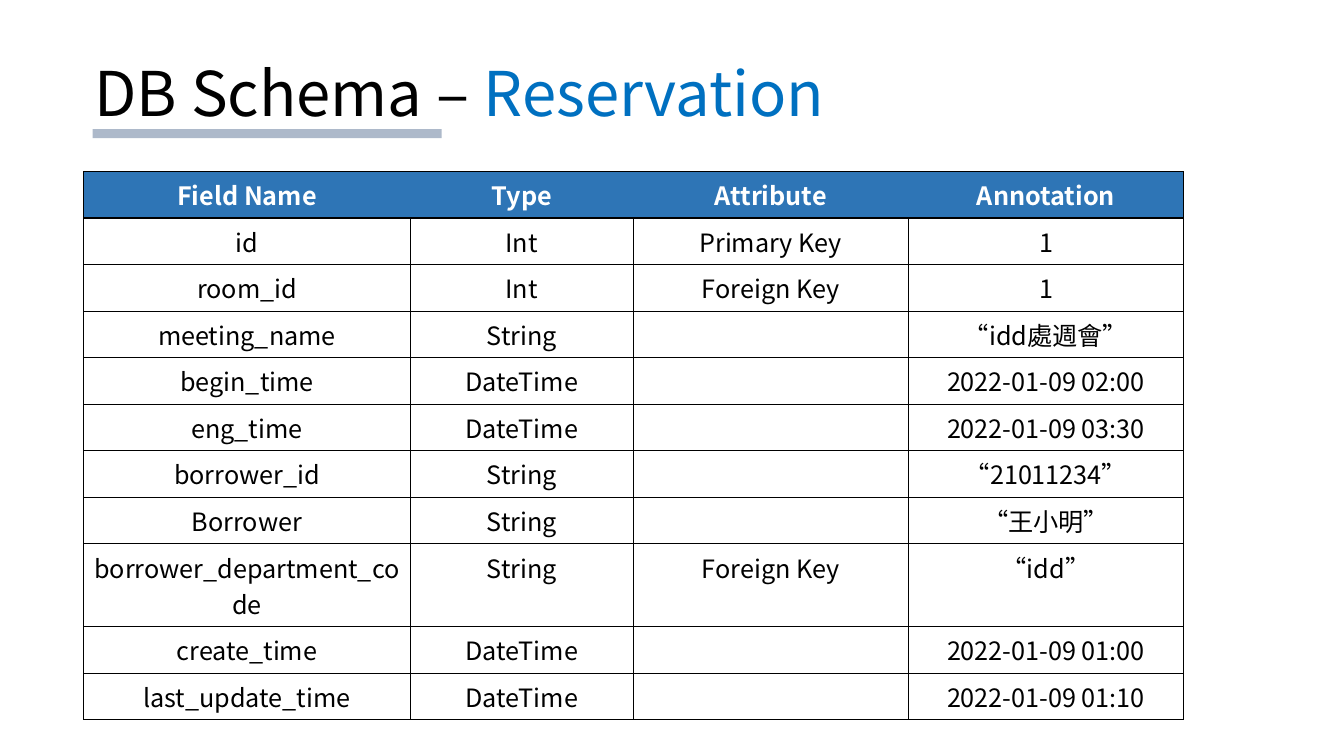
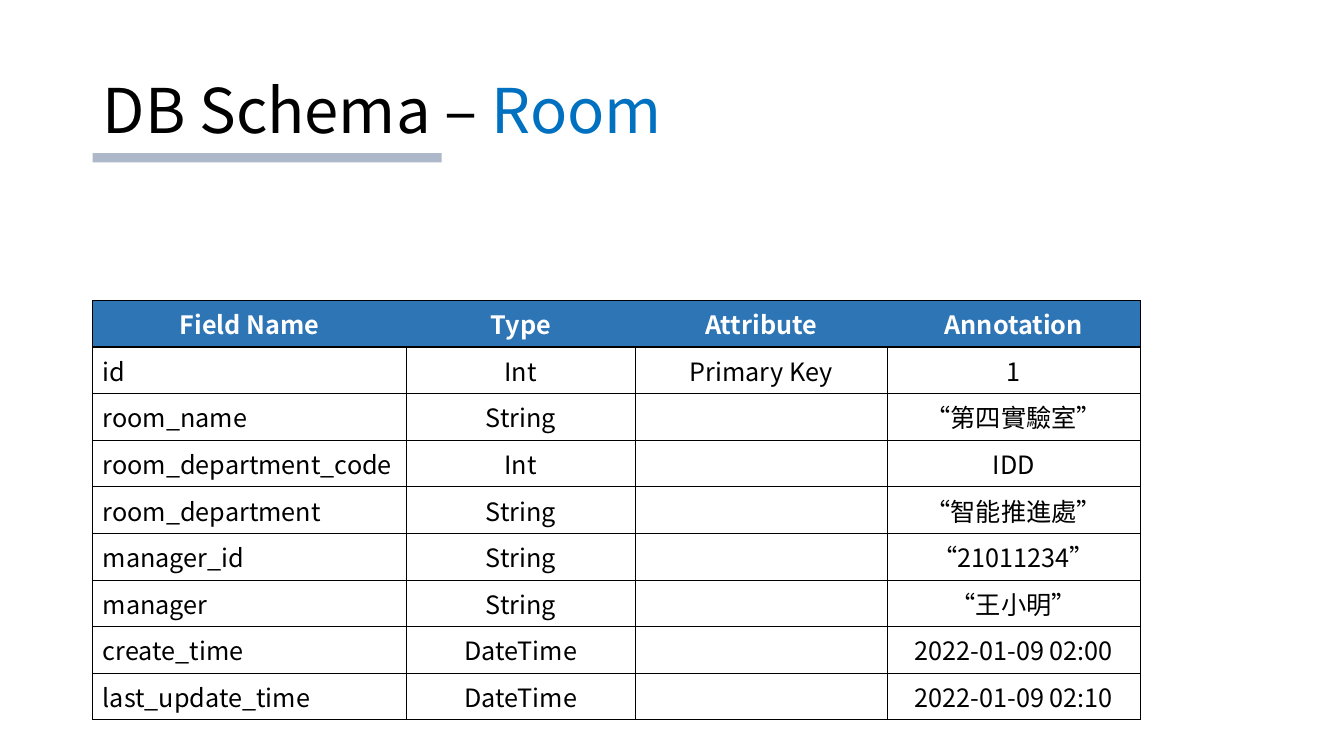
from dataclasses import dataclass

from lxml import etree
from pptx import Presentation
from pptx.dml.color import RGBColor
from pptx.enum.shapes import MSO_SHAPE
from pptx.enum.text import MSO_ANCHOR, PP_ALIGN
from pptx.oxml.ns import qn
from pptx.util import Inches, Pt

RECT = MSO_SHAPE.RECTANGLE
MIDDLE = MSO_ANCHOR.MIDDLE
LEFT, CENTER = PP_ALIGN.LEFT, PP_ALIGN.CENTER


@dataclass(frozen=True)
class Theme:
    font: str = "Noto Sans CJK SC"
    black: str = "000000"
    white: str = "FFFFFF"
    accent: str = "0070C0"
    header: str = "2E75B6"
    bar: str = "ADB9CA"
    title_size: int = 44
    table_size: int = 18
    thin: float = 0.5
    thick: float = 1


@dataclass(frozen=True)
class SchemaSlide:
    name: str
    title_box: tuple[float, float, float, float]
    bar_top: float
    table_left: float
    table_top: float
    widths: tuple[float, ...]
    field_align: PP_ALIGN
    rows: tuple[tuple[str, str, str, str], ...]


THEME = Theme()
HEADER = ("Field Name", "Type", "Attribute", "Annotation")
TABLE_BOTTOM = 7.14
TWO_LINE_FIELD, TWO_LINE_HEIGHT = "borrower_department_code", 0.82
BAR_LEFT, BAR_WIDTH, BAR_HEIGHT = 0.92, 3.46, 0.09

SLIDES = (
    SchemaSlide(
        "Reservation", (0.84, 0.4, 11.5, 1.12), 1.28, 0.83, 1.7,
        (3.24, 2.21, 2.73, 2.73), CENTER,
        (
            ("id", "Int", "Primary Key", "1"),
            ("room_id", "Int", "Foreign Key", "1"),
            ("meeting_name", "String", "", "“idd處週會”"),
            ("begin_time", "DateTime", "", "2022-01-09 02:00"),
            ("eng_time", "DateTime", "", "2022-01-09 03:30"),
            ("borrower_id", "String", "", "“21011234”"),
            ("Borrower", "String", "", "“王小明”"),
            (TWO_LINE_FIELD, "String", "Foreign Key", "“idd”"),
            ("create_time", "DateTime", "", "2022-01-09 01:00"),
            ("last_update_time", "DateTime", "", "2022-01-09 01:10"),
        ),
    ),
    SchemaSlide(
        "Room", (0.92, 0.4, 11.5, 1.45), 1.52, 0.92, 2.98,
        (3.11, 2.27, 2.5, 2.51), LEFT,
        (
            ("id", "Int", "Primary Key", "1"),
            ("room_name", "String", "", "“第四實驗室”"),
            ("room_department_code", "Int", "", "IDD"),
            ("room_department", "String", "", "“智能推進處”"),
            ("manager_id", "String", "", "“21011234”"),
            ("manager", "String", "", "“王小明”"),
            ("create_time", "DateTime", "", "2022-01-09 02:00"),
            ("last_update_time", "DateTime", "", "2022-01-09 02:10"),
        ),
    ),
)


def rgb(color: str) -> RGBColor:
    return RGBColor.from_string(color)


def style_paragraph(p, size: int, bold: bool = False) -> None:
    """Set the shared font, for Latin and East Asian text."""
    p.font.name = THEME.font
    p.font.size = Pt(size)
    p.font.bold = bold
    props = p._p.get_or_add_pPr().find(qn("a:defRPr"))
    etree.SubElement(props, qn("a:ea")).set("typeface", THEME.font)


def set_borders(cell, widths: dict[str, float]) -> None:
    """Draw the cell edges L, R, T and B; a width of 0 hides the edge."""
    props = cell._tc.get_or_add_tcPr()
    for i, (side, width) in enumerate(widths.items()):
        line = etree.Element(qn(f"a:ln{side}"), w=str(Pt(width)))
        if width:
            fill = etree.SubElement(line, qn("a:solidFill"))
            etree.SubElement(fill, qn("a:srgbClr")).set("val", THEME.black)
        else:
            etree.SubElement(line, qn("a:noFill"))
        props.insert(i, line)


def add_title(s, schema: SchemaSlide) -> None:
    box = s.shapes.add_textbox(*map(Inches, schema.title_box))
    tf = box.text_frame
    tf.word_wrap = True
    tf.vertical_anchor = MIDDLE
    p = tf.paragraphs[0]
    p.line_spacing = 0.9
    style_paragraph(p, THEME.title_size)
    for text, color in (("DB Schema – ", THEME.black), (schema.name, THEME.accent)):
        r = p.add_run()
        r.text = text
        r.font.color.rgb = rgb(color)


def add_bar(s, top: float) -> None:
    bar = s.shapes.add_shape(
        RECT, Inches(BAR_LEFT), Inches(top), Inches(BAR_WIDTH), Inches(BAR_HEIGHT)
    )
    bar.shadow.inherit = False
    bar.fill.solid()
    bar.fill.fore_color.rgb = rgb(THEME.bar)
    bar.line.fill.background()


def fill_cell(cell, text: str, is_header: bool, align: PP_ALIGN) -> None:
    if is_header:
        cell.fill.solid()
        cell.fill.fore_color.rgb = rgb(THEME.header)
    else:
        cell.fill.background()
    cell.text = text
    p = cell.text_frame.paragraphs[0]
    p.alignment = align
    style_paragraph(p, THEME.table_size, is_header)
    p.font.color.rgb = rgb(THEME.white if is_header else THEME.black)


def row_heights(rows: tuple[tuple[str, ...], ...], height: float) -> list[float]:
    """Share the height equally among the one-line rows."""
    tall = [row[0] == TWO_LINE_FIELD for row in rows]
    single = (height - TWO_LINE_HEIGHT * sum(tall)) / (len(rows) - sum(tall))
    return [TWO_LINE_HEIGHT if is_tall else single for is_tall in tall]


def add_schema_table(s, schema: SchemaSlide) -> None:
    rows = (HEADER, *schema.rows)
    last_col = len(HEADER) - 1
    height = TABLE_BOTTOM - schema.table_top
    table = s.shapes.add_table(
        len(rows), len(HEADER), Inches(schema.table_left), Inches(schema.table_top),
        Inches(sum(schema.widths)), Inches(height),
    ).table
    table.horz_banding = False
    for column, width in zip(table.columns, schema.widths):
        column.width = Inches(width)
    for table_row, row_height in zip(table.rows, row_heights(rows, height)):
        table_row.height = Inches(row_height)
    for i, row in enumerate(rows):
        is_header = i == 0
        for j, text in enumerate(row):
            cell = table.cell(i, j)
            align = schema.field_align if j == 0 and not is_header else CENTER
            fill_cell(cell, text, is_header, align)
            # The header shows only its outer vertical edges
            set_borders(cell, {
                "L": (THEME.thin if j == 0 else 0) if is_header else THEME.thick,
                "R": (THEME.thin if j == last_col else 0) if is_header else THEME.thick,
                "T": THEME.thick if i == 1 else THEME.thin,
                "B": THEME.thick if is_header else THEME.thin,
            })


def main() -> None:
    prs = Presentation()
    prs.slide_width, prs.slide_height = Inches(13.33), Inches(7.5)
    blank = prs.slide_layouts[6]
    for schema in SLIDES:
        s = prs.slides.add_slide(blank)
        add_title(s, schema)
        add_schema_table(s, schema)
        add_bar(s, schema.bar_top)
    prs.save("out.pptx")


main()
